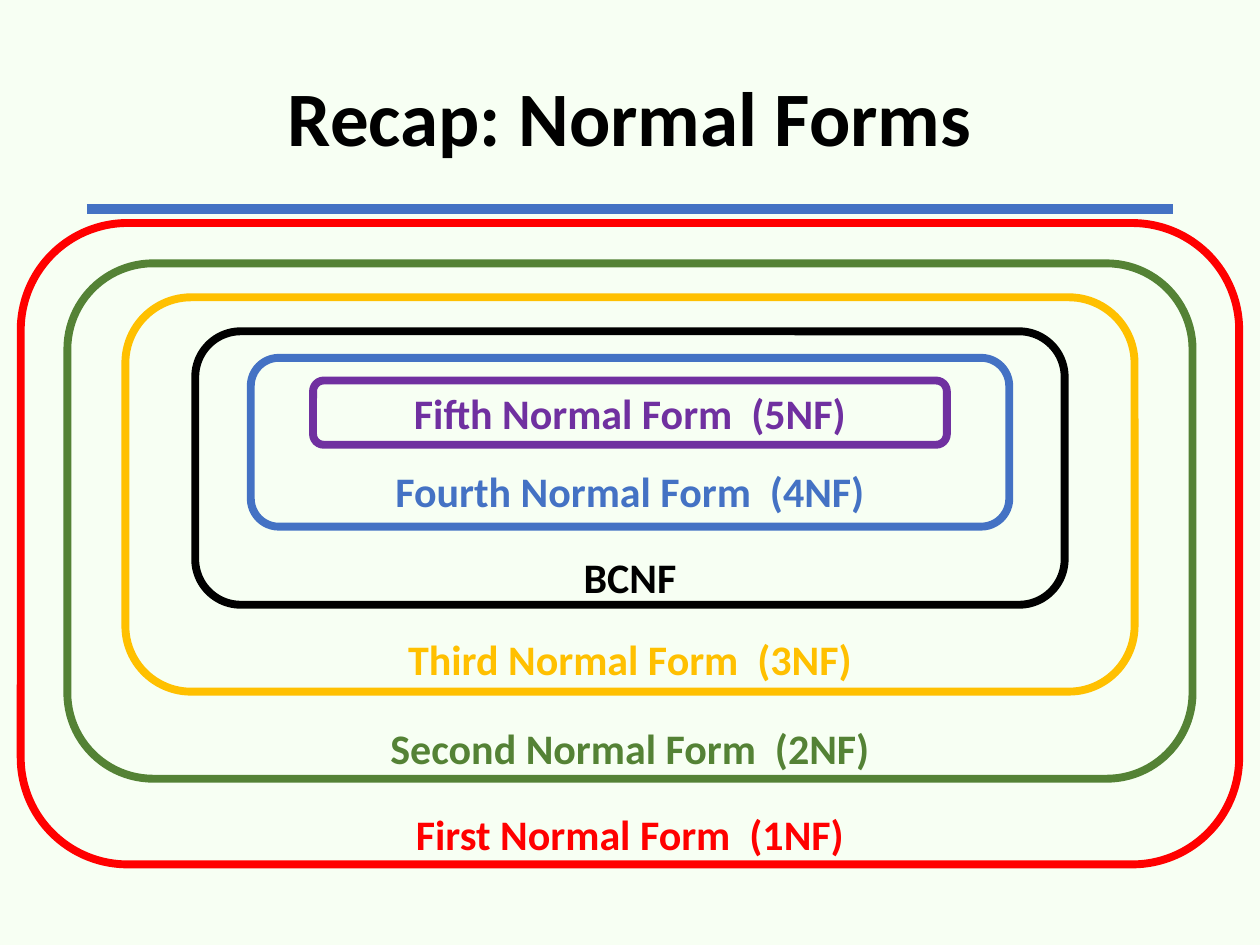
import pptx
import pptx.dml.color
import pptx.enum.shapes
import pptx.enum.text
import pptx.util
from dataclasses import dataclass
from lxml import etree

Inches = pptx.util.Inches
Pt = pptx.util.Pt


@dataclass(frozen=True)
class Theme:
    font: str = "Calibri"
    back: str = "F7FFF3"
    ink: str = "000000"
    red: str = "FF0000"
    green: str = "548235"
    gold: str = "FFC000"
    blue: str = "4472C4"
    violet: str = "7030A0"
    title: float = 44
    label: float = 24
    rule: float = 6
    ring: float = 4.5


def rgb(code):
    return pptx.dml.color.RGBColor.from_string(code)


class Deck:
    def __init__(self, theme):
        self.theme = theme
        self.file = pptx.Presentation()
        self.file.slide_width = Inches(10)
        self.file.slide_height = Inches(7.5)
        self.slide = None

    def page(self):
        self.slide = self.file.slides.add_slide(self.file.slide_layouts[6])
        fill = self.slide.background.fill
        fill.solid()
        fill.fore_color.rgb = rgb(self.theme.back)

    def place(self, top, width, height):
        """Return a box centred across the slide."""
        left = (self.file.slide_width - Inches(width)) // 2
        return left, Inches(top), Inches(width), Inches(height)

    def rule(self, y, width):
        left, top, span, _ = self.place(y, width, 0)
        kind = pptx.enum.shapes.MSO_CONNECTOR.STRAIGHT
        line = self.slide.shapes.add_connector(kind, left, top, left + span, top)
        line.line.color.rgb = rgb(self.theme.blue)
        line.line.width = Pt(self.theme.rule)
        etree.SubElement(line._element.spPr, pptx.oxml.ns.qn("a:effectLst"))

    def ring(self, top, width, height, color):
        kind = pptx.enum.shapes.MSO_SHAPE.ROUNDED_RECTANGLE
        ring = self.slide.shapes.add_shape(kind, *self.place(top, width, height))
        ring.shadow.inherit = False
        ring.fill.background()
        ring.line.color.rgb = rgb(color)
        ring.line.width = Pt(self.theme.ring)

    def text(self, words, top, width, height, size, color, space=1.0):
        box = self.slide.shapes.add_textbox(*self.place(top, width, height))
        frame = box.text_frame
        frame.word_wrap = True
        frame.vertical_anchor = pptx.enum.text.MSO_ANCHOR.MIDDLE
        para = frame.paragraphs[0]
        para.text = words
        para.alignment = pptx.enum.text.PP_ALIGN.CENTER
        para.line_spacing = space
        para.font.name = self.theme.font
        para.font.size = Pt(size)
        para.font.bold = True
        para.font.color.rgb = rgb(color)


def main():
    theme = Theme()
    deck = Deck(theme)
    deck.page()
    deck.rule(1.66, 8.62)
    deck.text("Recap: Normal Forms", 0.24, 8.62, 1.45, theme.title, theme.ink, 0.9)

    # Outermost first: label, colour, ring top, width and height, label top
    forms = [
        ("First Normal Form  (1NF)", theme.red, 1.77, 9.67, 5.09, 6.36),
        ("Second Normal Form  (2NF)", theme.green, 2.09, 8.93, 4.09, 5.68),
        ("Third Normal Form  (3NF)", theme.gold, 2.36, 8.01, 3.13, 4.97),
        ("BCNF", theme.ink, 2.63, 6.9, 2.17, 4.32),
        ("Fourth Normal Form  (4NF)", theme.blue, 2.84, 6.02, 1.34, 3.64),
        ("Fifth Normal Form  (5NF)", theme.violet, 3.02, 5.03, 0.51, 3.02),
    ]
    for name, color, top, width, height, base in forms:
        deck.ring(top, width, height, color)
        span = 2.05 if name == "BCNF" else 6.16
        deck.text(name, base, span, 0.51, theme.label, color)

    deck.file.save("out.pptx")


if __name__ == "__main__":
    main()
